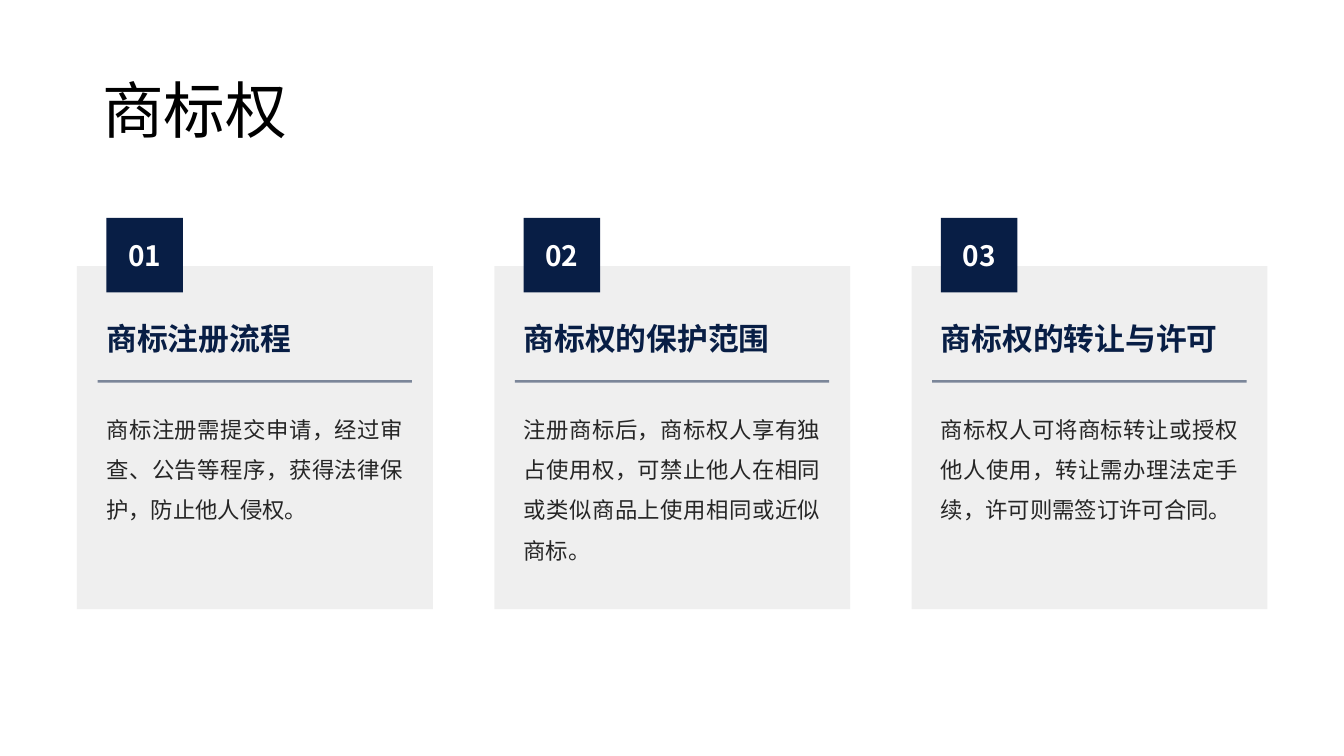
from dataclasses import dataclass

from lxml.etree import SubElement
from pptx import Presentation
from pptx.dml.color import RGBColor
from pptx.enum.shapes import MSO_CONNECTOR, MSO_SHAPE
from pptx.enum.text import MSO_ANCHOR, PP_ALIGN
from pptx.oxml.ns import qn
from pptx.util import Cm, Pt


@dataclass(frozen=True)
class Theme:
    font: str = "Noto Sans CJK SC"
    black: str = "000000"
    white: str = "FFFFFF"
    navy: str = "081E45"
    ink: str = "262626"
    gray: str = "999999"
    title: int = 44
    head: int = 22
    badge: int = 20
    body: int = 16
    rule: float = 1.75


THEME = Theme()

CARDS = [
    ("商标注册流程",
     "商标注册需提交申请，经过审查、公告等程序，获得法律保护，防止他人侵权。"),
    ("商标权的保护范围",
     "注册商标后，商标权人享有独占使用权，可禁止他人在相同或类似商品上使用相同或近似商标。"),
    ("商标权的转让与许可",
     "商标权人可将商标转让或授权他人使用，转让需办理法定手续，许可则需签订许可合同。"),
]


def fade(shape, percent):
    """Set the opacity of the one colour in a shape's properties."""
    color = shape.element.spPr.find(".//" + qn("a:srgbClr"))
    SubElement(color, qn("a:alpha")).set("val", str(percent * 1000))


def write(shape, text, size, color, bold=False, align=PP_ALIGN.LEFT,
          anchor=MSO_ANCHOR.MIDDLE, lead=1.0, inset=0, wrap=True):
    frame = shape.text_frame
    frame.text = text
    frame.word_wrap = wrap
    frame.vertical_anchor = anchor
    frame.margin_left = frame.margin_right = Cm(inset)
    frame.margin_top = frame.margin_bottom = Cm(inset / 2)
    para = frame.paragraphs[0]
    para.alignment = align
    para.line_spacing = lead
    font = para.runs[0].font
    font.name = THEME.font
    font.size = Pt(size)
    font.bold = bold
    font.color.rgb = RGBColor.from_string(color)
    props = para.runs[0].font.color and para.runs[0]._r.get_or_add_rPr()
    SubElement(props, qn("a:ea")).set("typeface", THEME.font)


def label(slide, box, text, size, color, **style):
    area = slide.shapes.add_textbox(*map(Cm, box))
    write(area, text, size, color, **style)


def block(slide, box, color):
    shape = slide.shapes.add_shape(MSO_SHAPE.RECTANGLE, *map(Cm, box))
    shape.shadow.inherit = False
    shape.fill.solid()
    shape.fill.fore_color.rgb = RGBColor.from_string(color)
    shape.line.fill.background()
    return shape


def rule(slide, left, top, width):
    line = slide.shapes.add_connector(
        MSO_CONNECTOR.STRAIGHT, Cm(left), Cm(top), Cm(left + width), Cm(top))
    line.line.color.rgb = RGBColor.from_string(THEME.navy)
    line.line.width = Pt(THEME.rule)
    fade(line, 50)
    SubElement(line.element.spPr, qn("a:effectLst"))


def card(slide, box, number, head, body):
    left, top, width, height = box
    pad = 0.74
    inner = left + pad
    span = width - 2 * pad
    fade(block(slide, box, THEME.gray), 15)
    label(slide, (inner, top + 3.43, span, 4.47), body, THEME.body, THEME.ink,
          align=PP_ALIGN.JUSTIFY, anchor=MSO_ANCHOR.TOP, lead=1.5)
    badge = block(slide, (inner, top - 1.22, 1.93, 1.88), THEME.navy)
    write(badge, f"{number:02}", THEME.badge, THEME.white, bold=True,
          align=PP_ALIGN.CENTER, wrap=False)
    label(slide, (inner, top + 1.19, span, 1.24), head, THEME.head, THEME.navy,
          bold=True)
    rule(slide, left + 0.52, top + 2.9, 7.92)


def cards(slide, box):
    left, top, width, height = box
    gap = 1.55
    wide = (width - gap * (len(CARDS) - 1)) / len(CARDS)
    for index, (head, body) in enumerate(CARDS):
        spot = (left + index * (wide + gap), top, wide, height)
        card(slide, spot, index + 1, head, body)


def main():
    deck = Presentation()
    deck.slide_width = Cm(33.87)
    deck.slide_height = Cm(19.05)
    slide = deck.slides.add_slide(deck.slide_layouts[6])
    label(slide, (2.33, 1.01, 29.21, 3.68), "商标权", THEME.title, THEME.black,
          lead=0.9, inset=0.25)
    cards(slide, (1.94, 6.71, 30, 8.64))
    deck.save("out.pptx")


if __name__ == "__main__":
    main()
